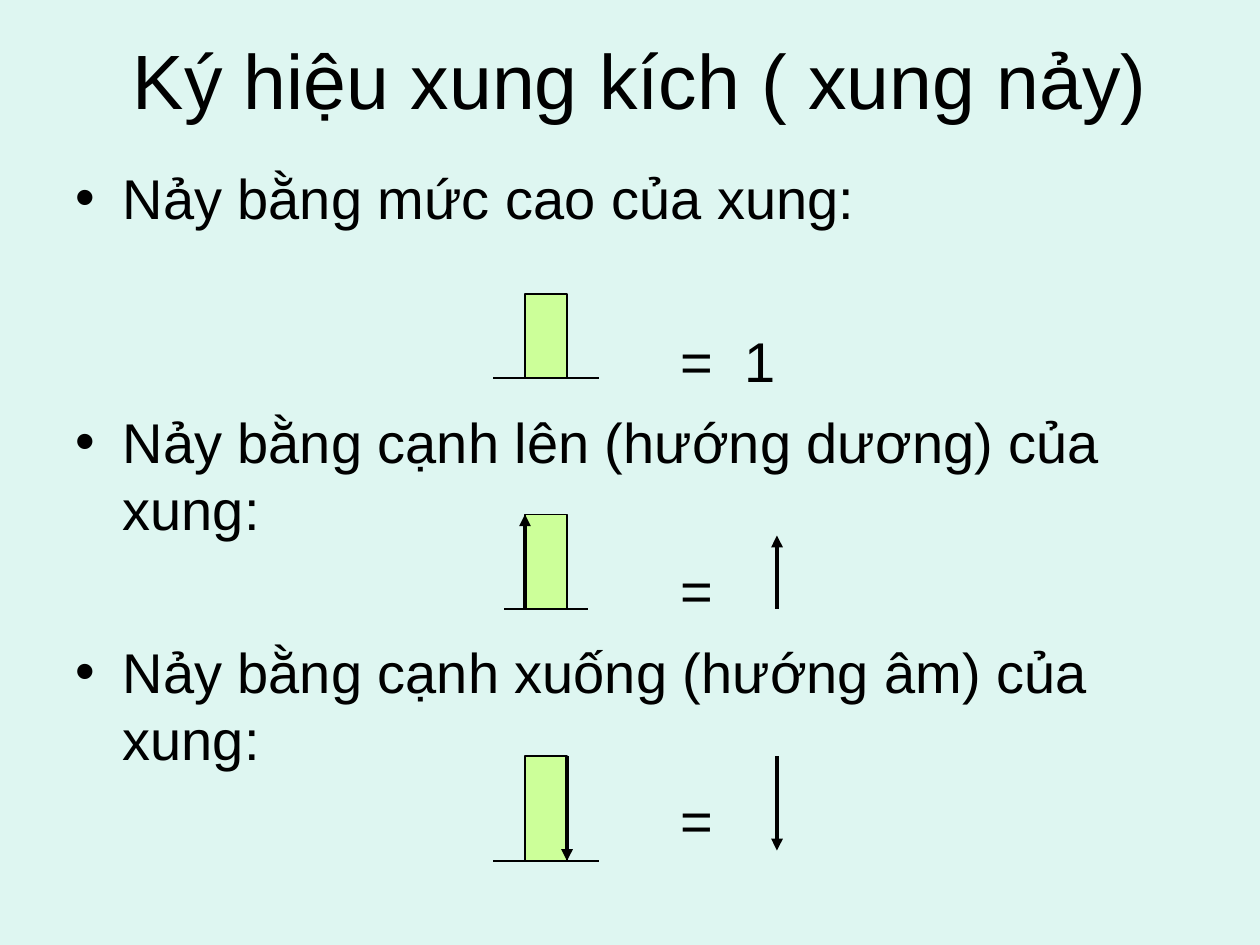
from lxml.etree import SubElement as Sub
from pptx import Presentation
from pptx.dml.color import RGBColor
from pptx.enum.shapes import MSO_CONNECTOR as Link, MSO_SHAPE as Form
from pptx.enum.text import MSO_ANCHOR as Anchor, PP_ALIGN as Align
from pptx.oxml.ns import qn
from pptx.util import Pt

BACK = RGBColor(0xDE, 0xF6, 0xF1)
LIME = RGBColor(0xCC, 0xFF, 0x99)
BLACK = RGBColor(0, 0, 0)

LEFT, WIDE = 300, 24   # every pulse has the same left edge and width
SIGN = 444             # x of the arrow after the equals sign

LINES = [              # text, is a bullet, space before
    ("Nảy bằng mức cao của xung:", True, 0),
    ("= 1", False, 54.5),
    ("Nảy bằng cạnh lên (hướng dương) của xung:", True, 8),
    ("=", False, 8),
    ("Nảy bằng cạnh xuống (hướng âm) của xung:", True, 8),
    ("=", False, 8),
]


class Deck:
    font = "Arial"
    thin, thick = 0.75, 2.25
    hang, inset = 27, 346
    track = 450        # letter spacing of the equations, in 1/100 point

    def __init__(self, slide):
        self.slide = slide
        fill = slide.background.fill
        fill.solid()
        fill.fore_color.rgb = BACK

    def box(self, x, y, w, h):
        area = self.slide.shapes.add_textbox(Pt(x), Pt(y), Pt(w), Pt(h))
        frame = area.text_frame
        frame.word_wrap = True
        return frame

    def style(self, para, size):
        font = para.font
        font.name, font.size = self.font, Pt(size)
        font.color.rgb = BLACK

    def title(self, text, x, y, w, h):
        frame = self.box(x, y, w, h)
        frame.vertical_anchor = Anchor.MIDDLE
        frame.text = text
        para = frame.paragraphs[0]
        para.alignment = Align.CENTER
        self.style(para, 44)

    def body(self, lines, x, y, w, h):
        frame = self.box(x, y, w, h)
        frame.text = "\n".join(text for text, _, _ in lines)
        for para, (_, mark, gap) in zip(frame.paragraphs, lines):
            para.space_before = Pt(gap)
            if mark:
                self.bullet(para)
            else:
                self.indent(para)
            self.style(para, 32)

    def margin(self, para, left, first):
        props = para._p.get_or_add_pPr()
        props.set("marL", str(Pt(left)))
        props.set("indent", str(Pt(first)))
        return props

    def bullet(self, para):
        props = self.margin(para, self.hang, -self.hang)
        Sub(props, qn("a:buFont"), typeface=self.font)
        Sub(props, qn("a:buChar"), char="•")

    def indent(self, para):
        """Start at the equals column, with wide letter spacing."""
        Sub(self.margin(para, self.inset, 0), qn("a:buNone"))
        for run in para.runs:
            run._r.get_or_add_rPr().set("spc", str(self.track))

    def line(self, x1, y1, x2, y2, width=thin):
        link = self.slide.shapes.add_connector(
            Link.STRAIGHT, Pt(x1), Pt(y1), Pt(x2), Pt(y2))
        link.line.color.rgb = BLACK
        link.line.width = Pt(width)
        Sub(link._element.spPr, qn("a:effectLst"))
        return link

    def arrow(self, x, start, end):
        link = self.line(x, start, x, end, self.thick)
        Sub(link.line._get_or_add_ln(), qn("a:tailEnd"), type="triangle")

    def pulse(self, top, base, over, form=Form.RECTANGLE):
        """Draw a bar on a base line that runs past it on both sides."""
        bar = self.slide.shapes.add_shape(
            form, Pt(LEFT), Pt(top), Pt(WIDE), Pt(base - top))
        bar.shadow.inherit = False
        bar.fill.solid()
        bar.fill.fore_color.rgb = LIME
        bar.line.color.rgb = BLACK
        bar.line.width = Pt(self.thin)
        self.line(LEFT - over, base, LEFT + WIDE + over, base)


def main():
    prs = Presentation()
    prs.slide_width, prs.slide_height = Pt(720), Pt(540)
    deck = Deck(prs.slides.add_slide(prs.slide_layouts[6]))

    deck.title("Ký hiệu xung kích ( xung nảy)", 42, 0, 648, 90)
    deck.body(LINES, 36, 90, 648, 432)

    deck.pulse(168, 216, 18, Form.FLOWCHART_PROCESS)

    deck.pulse(294, 348, 12)
    deck.arrow(LEFT, 348, 294)
    deck.arrow(SIGN, 348, 306)

    deck.pulse(432, 492, 18)
    deck.arrow(LEFT + WIDE, 432, 492)
    deck.arrow(SIGN, 432, 486)

    prs.save("out.pptx")


if __name__ == "__main__":
    main()
